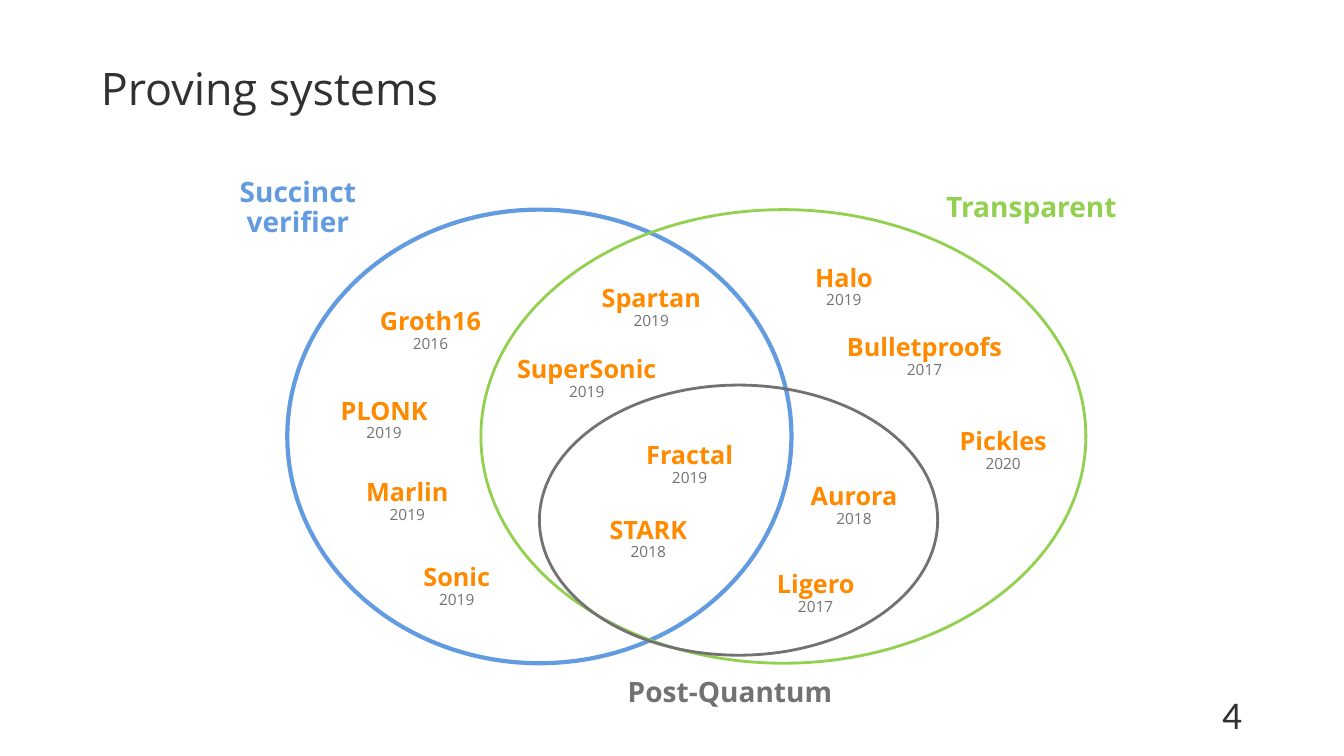
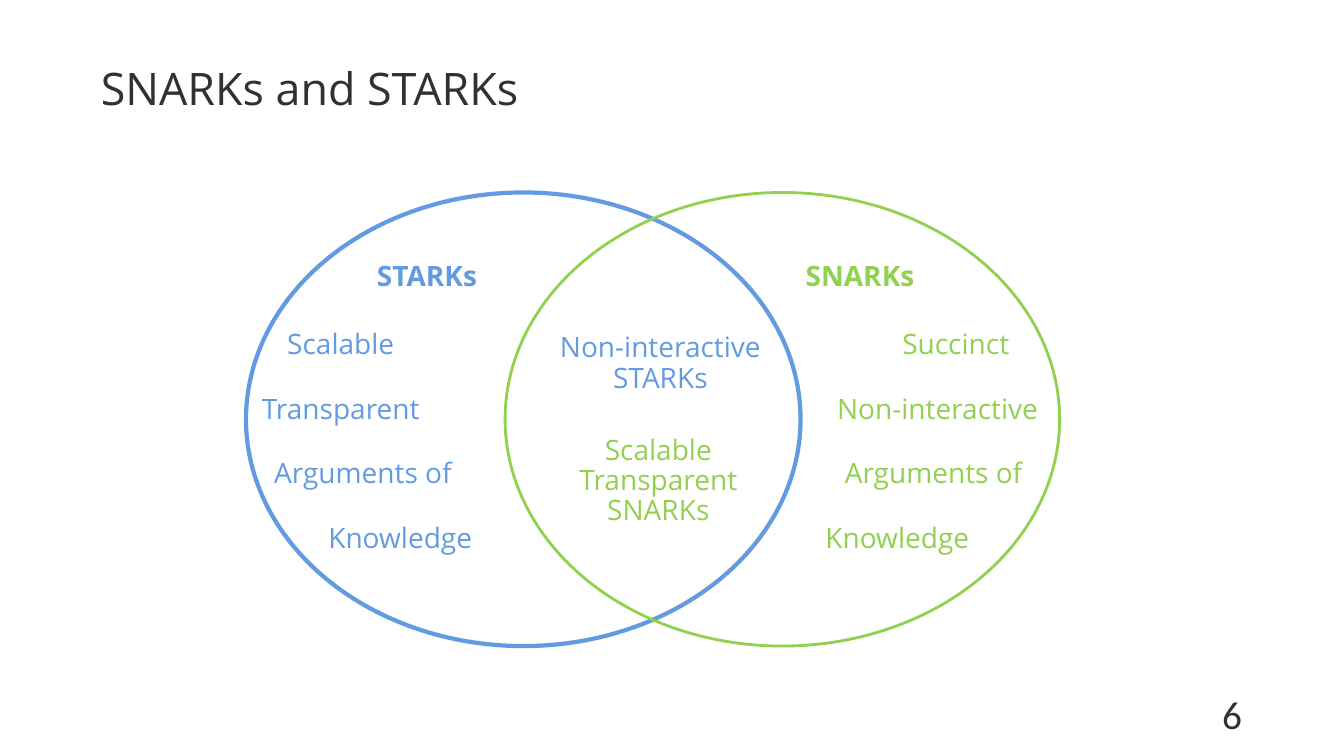
from dataclasses import dataclass

from pptx import Presentation
from pptx.dml.color import RGBColor as RGB
from pptx.enum.shapes import MSO_SHAPE as SHAPE
from pptx.enum.text import MSO_ANCHOR as ANCHOR, PP_ALIGN as ALIGN
from pptx.util import Pt

EMU_PER_PX = 9144  # 100 px to the inch


@dataclass(frozen=True)
class Theme:
    ink: RGB = RGB(0x31, 0x31, 0x31)
    blue: RGB = RGB(0x62, 0x9B, 0xDF)
    green: RGB = RGB(0x92, 0xD0, 0x50)
    grey: RGB = RGB(0x72, 0x72, 0x72)
    orange: RGB = RGB(0xFF, 0x8A, 0x00)
    font: str = "Open Sans"
    number_font: str = "Calibri"
    title_size: int = 32
    number_size: int = 28
    label_size: int = 20
    name_size: int = 18
    year_size: int = 11
    line_spacing: float = 0.9


def px(*lengths):
    return [length * EMU_PER_PX for length in lengths]


class Deck:
    def __init__(self, theme):
        self.theme = theme
        self.prs = Presentation()
        self.prs.slide_width, self.prs.slide_height = px(1333, 750)
        self.slide = None

    def add_slide(self, title, number):
        t = self.theme
        self.slide = self.prs.slides.add_slide(self.prs.slide_layouts[6])
        self.text((100, 50, 1133, 80), title, t.title_size, t.ink,
                  align=ALIGN.LEFT)
        tf = self.text((1111, 685, 222, 40), str(number), t.number_size,
                       t.ink, font=t.number_font)
        tf.vertical_anchor = ANCHOR.TOP

    def text(self, box, text, size, color, bold=False, align=ALIGN.CENTER,
             font=None):
        """Add a middle-anchored text box, one paragraph per line of text."""
        tf = self.slide.shapes.add_textbox(*px(*box)).text_frame
        tf.word_wrap = True
        tf.vertical_anchor = ANCHOR.MIDDLE
        tf.margin_left = tf.margin_right = 0
        tf.text = text
        for p in tf.paragraphs:
            p.alignment = align
            p.line_spacing = self.theme.line_spacing
            for r in p.runs:
                self.style(r, size, color, bold, font)
        return tf

    def style(self, r, size, color, bold=False, font=None):
        r.font.name = font or self.theme.font
        r.font.size = Pt(size)
        r.font.bold = bold
        r.font.color.rgb = color

    def label(self, box, text, color, bold=False):
        self.text(box, text, self.theme.label_size, color, bold)

    def ellipse(self, box, color, weight=2):
        sp = self.slide.shapes.add_shape(SHAPE.OVAL, *px(*box))
        sp.shadow.inherit = False
        sp.fill.background()
        sp.line.color.rgb = color
        sp.line.width = Pt(weight)

    def system(self, name, year, left, top, width=98):
        """Add a proving system's name with its year below."""
        t = self.theme
        tf = self.text((left, top, width, 50), f"{name}\n{year}",
                       t.name_size, t.orange, bold=True)
        self.style(tf.paragraphs[1].runs[0], t.year_size, t.grey)

    def word_column(self, words, color, top=318, step=64):
        """Stack (text, left, width) words at equal steps."""
        for i, (text, left, width) in enumerate(words):
            self.label((left, top + i * step, width, 50), text, color)


SYSTEMS = [
    ("Groth16", 2016, 372, 303, 110),
    ("Bulletproofs", 2017, 837, 329, 160),
    ("Ligero", 2017, 760, 564),
    ("Aurora", 2018, 798, 477),
    ("STARK", 2018, 594, 510),
    ("PLONK", 2019, 332, 392),
    ("Marlin", 2019, 355, 473),
    ("Sonic", 2019, 404, 557),
    ("Halo", 2019, 788, 260),
    ("Spartan", 2019, 596, 280, 100),
    ("Fractal", 2019, 635, 436),
    ("SuperSonic", 2019, 502, 351, 160),
    ("Pickles", 2020, 915, 422, 160),
]
STARK_WORDS = [
    ("Scalable", 263, 150),
    ("Transparent", 248, 180),
    ("Arguments of", 260, 200),
    ("Knowledge", 312, 170),
]
SNARK_WORDS = [
    ("Succinct", 878, 140),
    ("Non-interactive", 825, 210),
    ("Arguments of", 821, 210),
    ("Knowledge", 805, 170),
]


def proving_systems(deck):
    t = deck.theme
    deck.add_slide("Proving systems", 4)
    deck.ellipse((285, 208, 500, 450), t.blue, weight=3)
    deck.ellipse((477, 208, 600, 450), t.green)
    deck.ellipse((535, 382, 395, 268), t.grey)
    deck.label((184, 177, 223, 60), "Succinct\nverifier", t.blue, bold=True)
    deck.label((919, 177, 208, 60), "Transparent", t.green, bold=True)
    deck.label((620, 658, 208, 60), "Post-Quantum", t.grey, bold=True)
    for system in SYSTEMS:
        deck.system(*system)


def snarks_and_starks(deck):
    t = deck.theme
    deck.add_slide("SNARKs and STARKs", 6)
    deck.ellipse((244, 191, 550, 450), t.blue, weight=3)
    deck.ellipse((501, 191, 550, 450), t.green)
    deck.label((312, 245, 223, 60), "STARKs", t.blue, bold=True)
    deck.label((749, 245, 208, 60), "SNARKs", t.green, bold=True)
    deck.label((530, 316, 250, 90), "Non-interactive STARKs", t.blue)
    deck.label((528, 420, 250, 115), "Scalable\nTransparent SNARKs", t.green)
    deck.word_column(STARK_WORDS, t.blue)
    deck.word_column(SNARK_WORDS, t.green)


def main():
    deck = Deck(Theme())
    proving_systems(deck)
    snarks_and_starks(deck)
    deck.prs.save("out.pptx")


if __name__ == "__main__":
    main()
